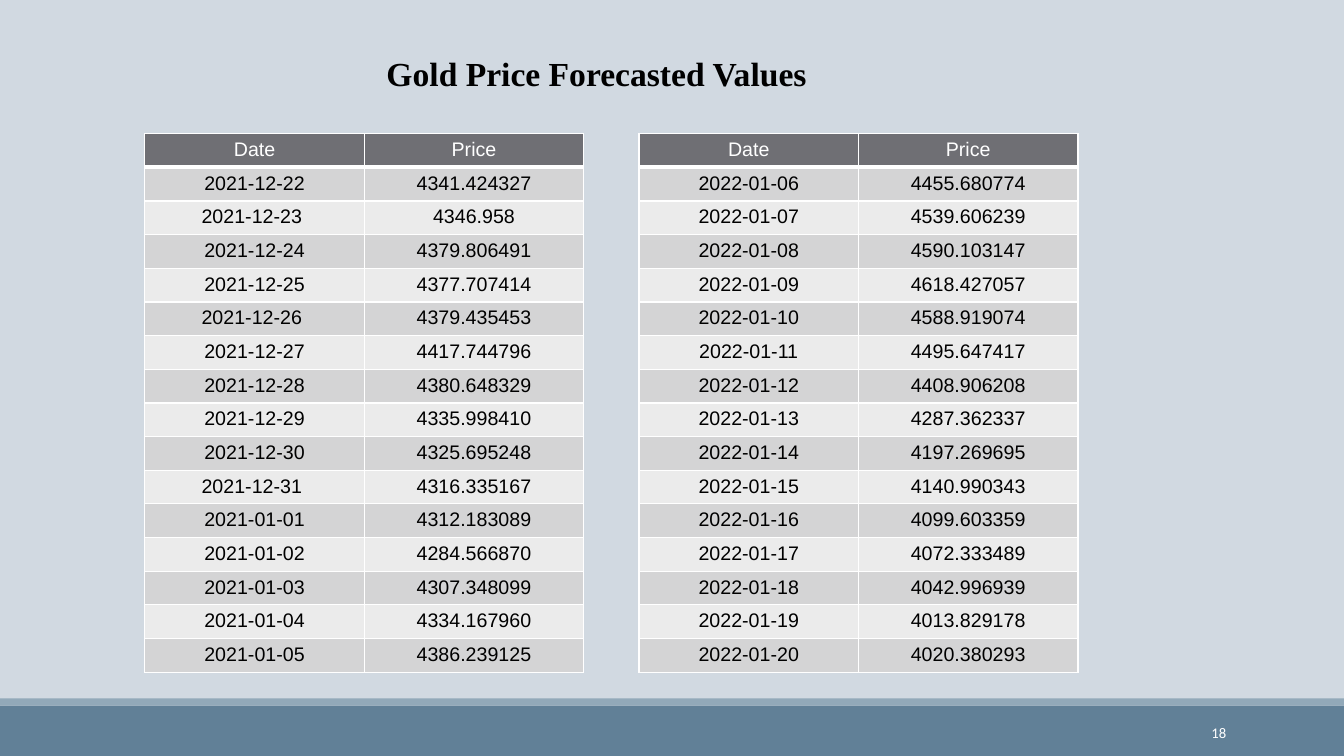
from dataclasses import dataclass

from lxml.etree import SubElement
from pptx import Presentation
from pptx.dml.color import RGBColor
from pptx.enum.shapes import MSO_SHAPE
from pptx.enum.text import MSO_ANCHOR, PP_ALIGN
from pptx.oxml.ns import qn
from pptx.util import Pt


@dataclass(frozen=True)
class Theme:
    background: str = "D1D9E1"
    footer: str = "618097"
    footer_edge: str = "92A9B9"
    header: str = "6F6F74"
    bands: tuple = ("D4D4D5", "EBEBEB")
    light: str = "FFFFFF"
    dark: str = "000000"
    title_font: str = "Times New Roman"
    table_font: str = "Arial"
    number_font: str = "Calibri"
    title_size: float = 24
    table_size: float = 14
    number_size: float = 10.5


class SlideBuilder:
    def __init__(self, slide, theme):
        self.s = slide
        self.theme = theme
        fill = slide.background.fill
        fill.solid()
        fill.fore_color.rgb = RGBColor.from_string(theme.background)

    def add_text_run(self, tf, text, font, size, color, align, bold=False):
        p = tf.paragraphs[0]
        p.alignment = align
        r = p.add_run()
        r.text = text
        r.font.name = font
        r.font.size = Pt(size)
        r.font.bold = bold
        r.font.color.rgb = RGBColor.from_string(color)

    def bar(self, x, y, w, h, color):
        sp = self.s.shapes.add_shape(MSO_SHAPE.RECTANGLE, Pt(x), Pt(y), Pt(w), Pt(h))
        sp.shadow.inherit = False
        sp.fill.solid()
        sp.fill.fore_color.rgb = RGBColor.from_string(color)
        sp.line.fill.background()

    def text(self, x, y, w, h, text, font, size, color, align,
             bold=False, anchor=MSO_ANCHOR.TOP):
        tf = self.s.shapes.add_textbox(Pt(x), Pt(y), Pt(w), Pt(h)).text_frame
        tf.word_wrap = True
        tf.vertical_anchor = anchor
        self.add_text_run(tf, text, font, size, color, align, bold)

    def borders(self, cell, bottom):
        tc_pr = cell._tc.get_or_add_tcPr()
        widths = {"a:lnL": 1, "a:lnR": 1, "a:lnT": 1, "a:lnB": bottom}
        for i, (tag, width) in enumerate(widths.items()):
            ln = SubElement(tc_pr, qn(tag), w=str(Pt(width)))
            fill = SubElement(ln, qn("a:solidFill"))
            SubElement(fill, qn("a:srgbClr"), val=self.theme.light)
            tc_pr.insert(i, ln)  # borders come before the cell fill

    def table(self, x, y, col_w, row_h, rows):
        t = self.theme
        n_rows, n_cols = len(rows), len(rows[0])
        table = self.s.shapes.add_table(n_rows, n_cols, Pt(x), Pt(y),
                                        Pt(col_w * n_cols), Pt(row_h * n_rows)).table
        for col in table.columns:
            col.width = Pt(col_w)
        for i, values in enumerate(rows):
            table.rows[i].height = Pt(row_h)
            is_header = i == 0
            for j, value in enumerate(values):
                cell = table.cell(i, j)
                cell.fill.solid()
                cell.fill.fore_color.rgb = RGBColor.from_string(
                    t.header if is_header else t.bands[(i - 1) % 2])
                self.borders(cell, 3 if is_header else 1)
                self.add_text_run(cell.text_frame, value, t.table_font, t.table_size,
                                  t.light if is_header else t.dark, PP_ALIGN.CENTER)


HEADER = ("Date", "Price")
FORECASTS = [
    [
        ("2021-12-22", "4341.424327"),
        ("2021-12-23 ", "4346.958"),
        ("2021-12-24", "4379.806491"),
        ("2021-12-25", "4377.707414"),
        ("2021-12-26 ", "4379.435453"),
        ("2021-12-27", "4417.744796"),
        ("2021-12-28", "4380.648329"),
        ("2021-12-29", "4335.998410"),
        ("2021-12-30", "4325.695248"),
        ("2021-12-31 ", "4316.335167"),
        ("2021-01-01", "4312.183089"),
        ("2021-01-02", "4284.566870"),
        ("2021-01-03", "4307.348099"),
        ("2021-01-04", "4334.167960"),
        ("2021-01-05", "4386.239125"),
    ],
    [
        ("2022-01-06", "4455.680774"),
        ("2022-01-07", "4539.606239"),
        ("2022-01-08", "4590.103147"),
        ("2022-01-09", "4618.427057"),
        ("2022-01-10", "4588.919074"),
        ("2022-01-11", "4495.647417"),
        ("2022-01-12", "4408.906208"),
        ("2022-01-13", "4287.362337"),
        ("2022-01-14", "4197.269695"),
        ("2022-01-15", "4140.990343"),
        ("2022-01-16", "4099.603359"),
        ("2022-01-17", "4072.333489"),
        ("2022-01-18", "4042.996939"),
        ("2022-01-19", "4013.829178"),
        ("2022-01-20", "4020.380293"),
    ],
]


def main():
    prs = Presentation()
    prs.slide_width, prs.slide_height = Pt(960), Pt(540)
    theme = Theme()
    page = SlideBuilder(prs.slides.add_slide(prs.slide_layouts[6]), theme)

    # Footer bars and slide number
    page.bar(0, 504, 960, 36, theme.footer)
    page.bar(0, 498.75, 960, 5.25, theme.footer_edge)
    page.text(780, 508.5, 103, 29, "18", theme.number_font, theme.number_size,
              theme.light, PP_ALIGN.RIGHT, anchor=MSO_ANCHOR.MIDDLE)

    # Title
    page.text(14.4, 34.5, 823.5, 60.5, "Gold Price Forecasted Values",
              theme.title_font, theme.title_size, theme.dark, PP_ALIGN.CENTER, bold=True)

    # Forecast tables, side by side
    for i, forecast in enumerate(FORECASTS):
        page.table(103.5 + 353 * i, 95.5, 156.75, 24, [HEADER] + forecast)

    prs.save("out.pptx")


if __name__ == "__main__":
    main()
